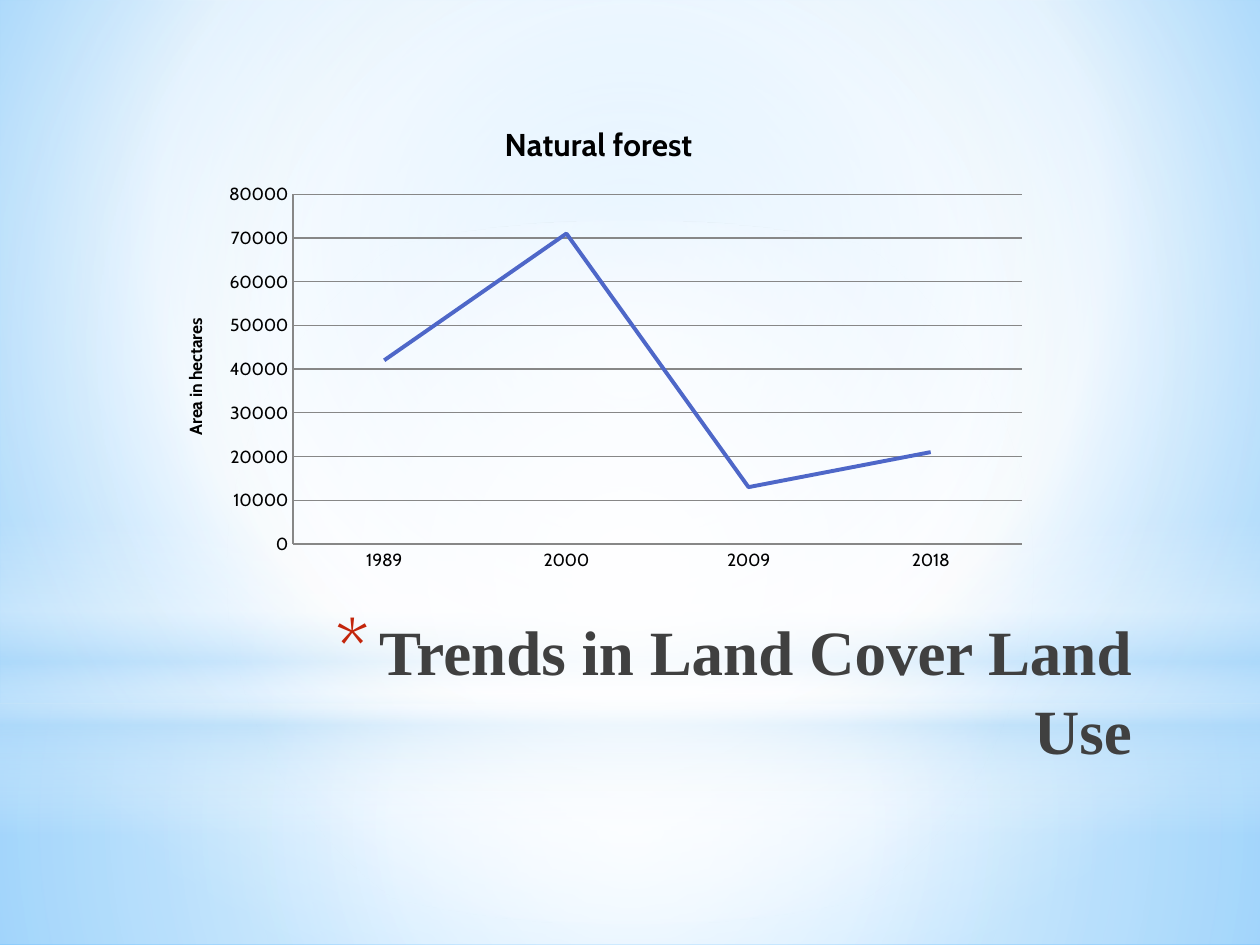
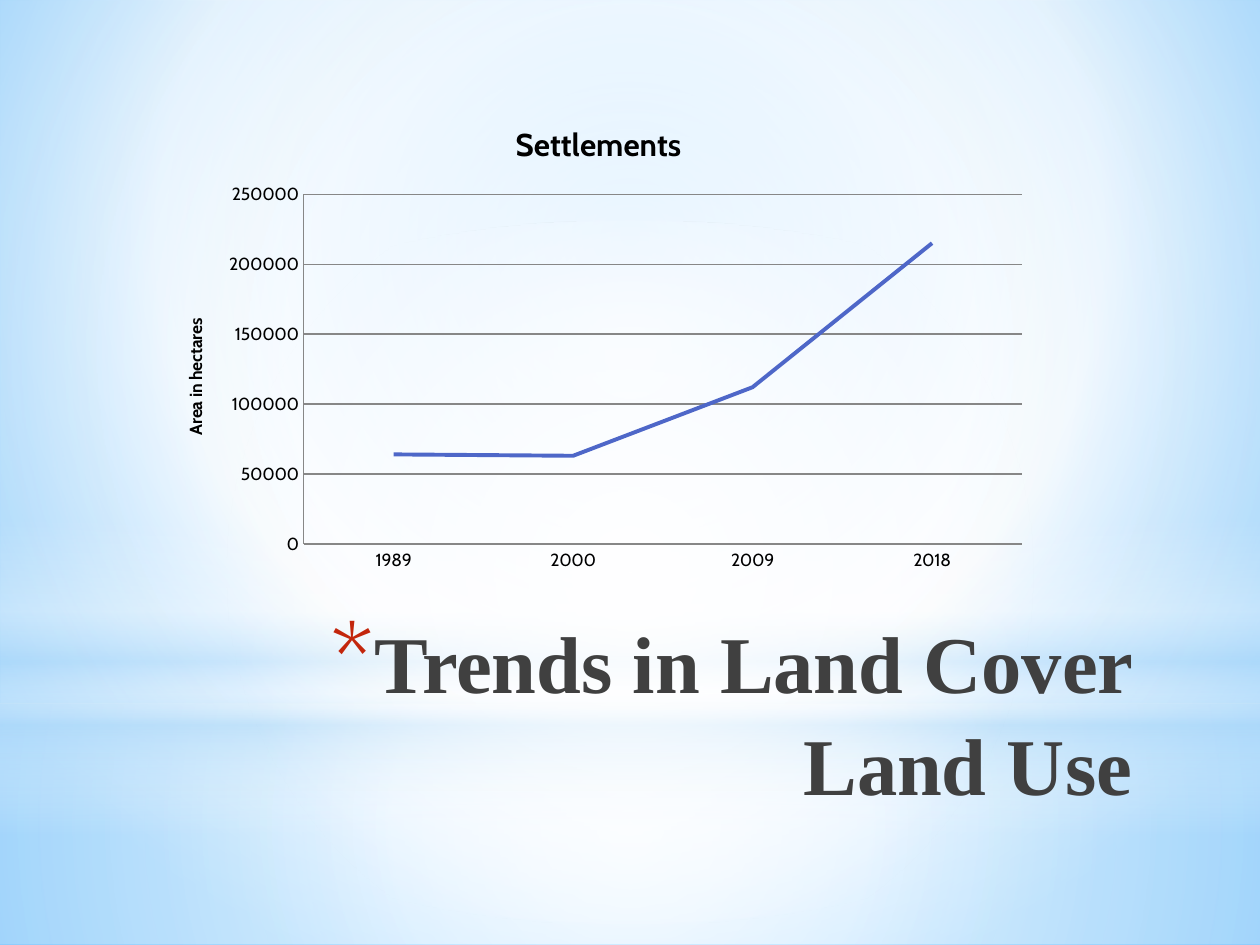
from lxml.etree import SubElement
from pptx import Presentation
from pptx.chart.data import CategoryChartData
from pptx.dml.color import RGBColor
from pptx.enum.chart import XL_CHART_TYPE, XL_TICK_MARK
from pptx.enum.shapes import MSO_SHAPE
from pptx.enum.text import MSO_ANCHOR, MSO_AUTO_SIZE, PP_ALIGN
from pptx.oxml.ns import qn
from pptx.util import Pt

COLORS = {
    "white": "FFFFFF",
    "haze": "B4DCFA",
    "sky": "9ED5FF",
    "edge": "5BB9FF",
    "title": "404040",
    "bullet": "C3260C",
    "series": "4E67C8",
    "grid": "878787",
    "black": "000000",
}
TITLE_FONT = "Times New Roman"
CHART_FONT = "Cabin"
WIDTH, HEIGHT = 720, 540
HORIZON = 402
CENTER = (50, 50, 50, 50)
YEARS = ["1989", "2000", "2009", "2018"]
TITLE = "Trends in Land Cover Land Use"

BANDS = [
    (MSO_SHAPE.RECTANGLE, HORIZON, HEIGHT - HORIZON, CENTER,
     [(0, "white", 91), (37, "white", 76), (100, "haze", 79)]),
    (MSO_SHAPE.RECTANGLE, 0, HORIZON, CENTER,
     [(0, "white", 89), (48, "white", 62), (100, "haze", 79)]),
    (MSO_SHAPE.RECTANGLE, 297, 180, None,
     [(0, "white", 0), (29, "white", 30), (45, "haze", 40),
      (55, "white", 26), (65, "haze", 60), (100, "white", 0)]),
    (MSO_SHAPE.OVAL, 126, HORIZON, CENTER,
     [(0, "white", 100), (56, "white", 0)]),
]


def color(name):
    return RGBColor.from_string(COLORS[name])


def set_gradient(fill, owner, stops, focus):
    fill.gradient()
    gradient = next(owner.iter(qn("a:gradFill")))
    for child in list(gradient):
        gradient.remove(child)
    stop_list = SubElement(gradient, qn("a:gsLst"))
    for position, name, opacity in stops:
        stop = SubElement(stop_list, qn("a:gs"), pos=str(position * 1000))
        stop_color = SubElement(stop, qn("a:srgbClr"), val=COLORS[name])
        if opacity < 100:
            SubElement(stop_color, qn("a:alpha"), val=str(opacity * 1000))
    if focus:
        path = SubElement(gradient, qn("a:path"), path="circle")
        edges = {side: str(value * 1000) for side, value in zip("ltrb", focus)}
        SubElement(path, qn("a:fillToRect"), **edges)
    else:
        SubElement(gradient, qn("a:lin"), ang="5400000", scaled="0")


def add_band(slide, kind, top, height, focus, stops):
    shape = slide.shapes.add_shape(kind, 0, Pt(top), Pt(WIDTH), Pt(height))
    shape.shadow.inherit = False
    shape.line.fill.background()
    set_gradient(shape.fill, shape.element, stops, focus)
    return shape


def dress_layout(layout, slide):
    set_gradient(layout.background.fill, layout.element,
                 [(0, "sky", 100), (60, "white", 100), (100, "edge", 100)],
                 (20, 10, 20, 60))
    tree = layout.shapes.element
    for placeholder in list(layout.placeholders)[1:]:
        tree.remove(placeholder.element)
    bands = [add_band(slide, *band) for band in BANDS]
    for index, band in enumerate(bands, start=2):
        tree.insert(index, band.element)


def add_bullet(paragraph):
    properties = paragraph._p.get_or_add_pPr()
    properties.set("marL", str(Pt(25.2)))
    properties.set("indent", str(Pt(-25.2)))
    bullet_color = SubElement(properties, qn("a:buClr"))
    SubElement(bullet_color, qn("a:srgbClr"), val=COLORS["bullet"])
    SubElement(properties, qn("a:buSzPct"), val="128000")
    SubElement(properties, qn("a:buFont"), typeface=CHART_FONT)
    SubElement(properties, qn("a:buChar"), char="*")


def set_font(font, size, name, color_name, bold):
    font.size = Pt(size)
    font.name = name
    font.bold = bold
    font.color.rgb = color(color_name)


def set_title(slide, size):
    title = slide.shapes.title
    title.left, title.top = Pt(141), Pt(344)
    title.width, title.height = Pt(513), Pt(90)
    frame = title.text_frame
    frame.text = TITLE
    frame.word_wrap = True
    frame.auto_size = MSO_AUTO_SIZE.NONE
    frame.vertical_anchor = MSO_ANCHOR.TOP
    paragraph = frame.paragraphs[0]
    paragraph.alignment = PP_ALIGN.RIGHT
    paragraph.line_spacing = 1.05
    add_bullet(paragraph)
    set_font(paragraph.font, size, TITLE_FONT, "title", True)


def set_heading(owner, text, size):
    frame = owner.text_frame
    frame.text = text
    set_font(frame.paragraphs[0].font, size, CHART_FONT, "black", True)


def set_line(line, name, width):
    line.color.rgb = color(name)
    line.width = Pt(width)


def add_trend_chart(slide, heading, areas, maximum, step):
    data = CategoryChartData()
    data.categories = YEARS
    data.add_series("Series 1", areas)
    chart = slide.shapes.add_chart(XL_CHART_TYPE.LINE, Pt(90), Pt(57.6),
                                   Pt(504), Pt(273.6), data).chart
    set_font(chart.font, 10, CHART_FONT, "black", False)
    chart.has_legend = False
    chart.has_title = True
    set_heading(chart.chart_title, heading, 18)
    chart.chart_title.include_in_layout = False

    for axis in (chart.category_axis, chart.value_axis):
        axis.major_tick_mark = XL_TICK_MARK.NONE
        axis.minor_tick_mark = XL_TICK_MARK.NONE
        set_line(axis.format.line, "grid", 0.75)

    value_axis = chart.value_axis
    value_axis.minimum_scale = 0
    value_axis.maximum_scale = maximum
    value_axis.major_unit = step
    value_axis.has_major_gridlines = True
    set_line(value_axis.major_gridlines.format.line, "grid", 0.75)
    set_heading(value_axis.axis_title, "Area in hectares", 10)

    plot = chart.plots[0]
    plot.vary_by_categories = False
    series = plot.series[0]
    series.smooth = False
    set_line(series.format.line, "series", 2.25)


def add_trend_slide(presentation, layout, title_size, *chart_details):
    slide = presentation.slides.add_slide(layout)
    set_title(slide, title_size)
    add_trend_chart(slide, *chart_details)
    return slide


def main():
    presentation = Presentation()
    presentation.slide_width, presentation.slide_height = Pt(WIDTH), Pt(HEIGHT)
    layout = presentation.slide_layouts[5]
    forest = add_trend_slide(presentation, layout, 36, "Natural forest",
                             [42000, 71000, 13000, 21000], 80000, 10000)
    dress_layout(layout, forest)
    add_trend_slide(presentation, layout, 46, "Settlements",
                    [64000, 63000, 112000, 215000], 250000, 50000)
    presentation.save("out.pptx")


if __name__ == "__main__":
    main()
